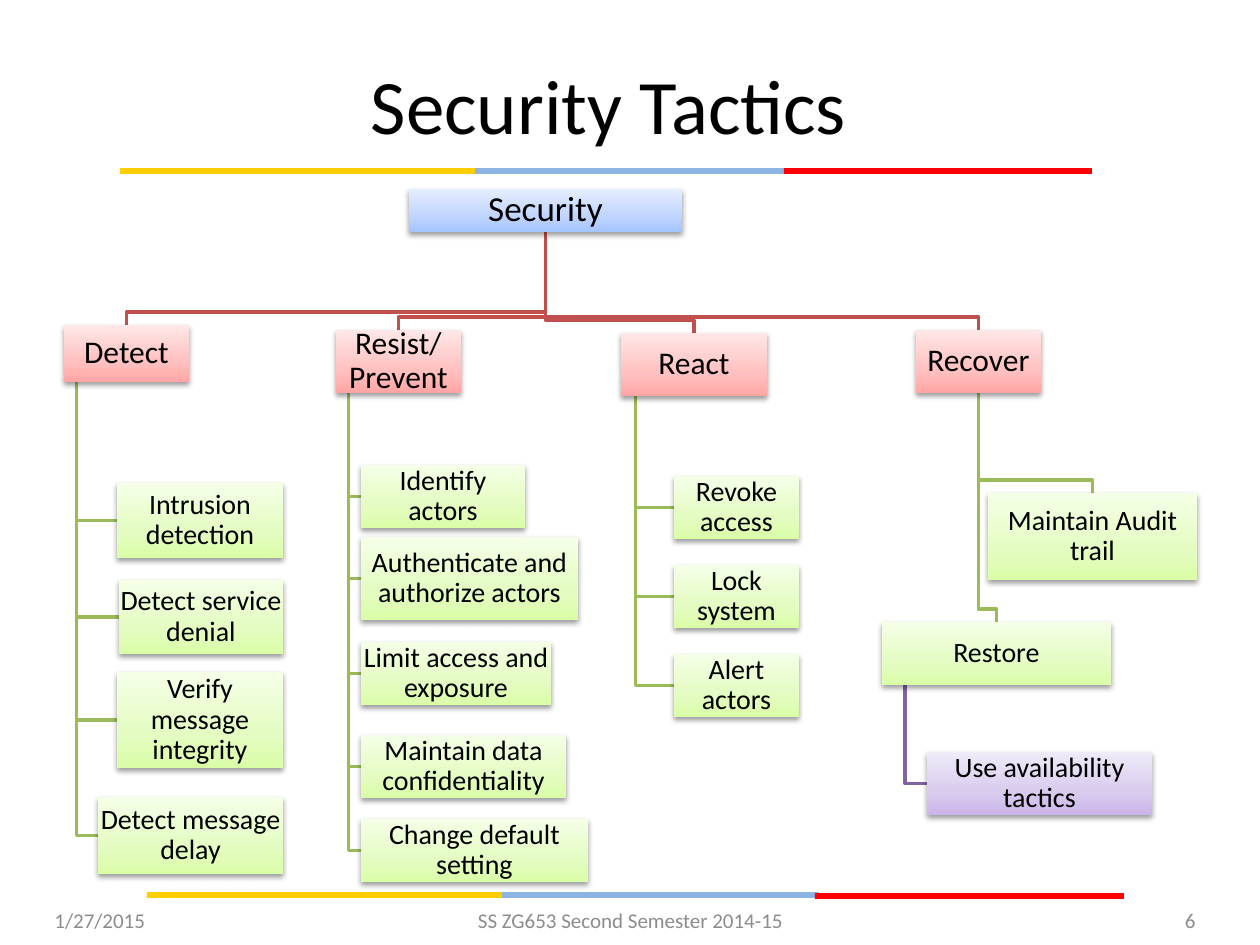
"""Build the Security Tactics tree slide."""
from lxml import etree
from pptx import Presentation
from pptx.dml.color import RGBColor
from pptx.enum.shapes import MSO_SHAPE
from pptx.enum.text import MSO_ANCHOR, PP_ALIGN
from pptx.oxml import parse_xml
from pptx.util import Pt

RECT = MSO_SHAPE.RECTANGLE
MIDDLE = MSO_ANCHOR.MIDDLE
LEFT, CENTER, RIGHT = PP_ALIGN.LEFT, PP_ALIGN.CENTER, PP_ALIGN.RIGHT
SCALE = 914400 / 126
NS = "http://schemas.openxmlformats.org/drawingml/2006/main"
COLORS = {"gold": "FFCE00", "sky": "8EB4E3", "red": "FF0000", "black": "000000",
          "gray": "8C8C8C", "rust": "C0504D", "olive": "9BBB59", "plum": "8064A2"}
KINDS = {
    "root": {"size": 20, "line": None, "stops": ("A4C4FF", "BFD4FF", "E6EEFF")},
    "branch": {"size": 18, "line": "rust", "stops": ("FFA6A5", "FFC0BF", "FFE7E7")},
    "leaf": {"size": 16, "line": "olive", "stops": ("DAFDA7", "E4FCC2", "F5FFE7")},
    "twig": {"size": 16, "line": "plum", "stops": ("C9B5E8", "D8CBEE", "F0EAF9")},
}


def px(*vals):
    return [round(v * SCALE) for v in vals]


def write(shape, text, size, color, align, **form):
    frame = shape.text_frame
    form = {"word_wrap": True, "vertical_anchor": MIDDLE, **form}
    for key, val in form.items():
        setattr(frame, key, val)
    para = frame.paragraphs[0]
    para.alignment = align
    run = para.add_run()
    run.text = text
    for key, val in {"name": "Calibri", "size": Pt(size)}.items():
        setattr(run.font, key, val)
    run.font.color.rgb = RGBColor.from_string(COLORS[color])
    return para


deck = Presentation()
deck.slide_width, deck.slide_height = px(1260, 945)
slide = deck.slides.add_slide(deck.slide_layouts[6])
shapes = slide.shapes

bars = [("sky", 470, 168, 321), ("red", 784, 168, 308), ("gold", 120, 168, 355),
        ("sky", 498, 892, 321), ("red", 815, 893, 309), ("gold", 147, 892, 355)]
for color, x, y, w in bars:
    bar = shapes.add_shape(RECT, *px(x, y, w, 6))
    bar.shadow.inherit = False
    bar.fill.solid()
    bar.fill.fore_color.rgb = RGBColor.from_string(COLORS[color])
    bar.line.fill.background()

labels = [("Security Tactics", 42, 39, 1134, 130, 44, "black", CENTER),
          ("1/27/2015", 42, 895, 294, 50, 12, "gray", LEFT),
          ("SS ZG653 Second Semester 2014-15", 431, 895, 399, 50, 12, "gray", CENTER),
          ("6", 914, 895, 294, 50, 12, "gray", RIGHT)]
for text, x, y, w, h, size, color, align in labels:
    write(shapes.add_textbox(*px(x, y, w, h)), text, size, color, align)

nodes = [
    ("Security", None, "root", 409, 189, 273, 43),
    ("Detect", "Security", "branch", 64, 325, 125, 57),
    ("Intrusion detection", "Detect", "leaf", 117, 483, 166, 75),
    ("Detect service denial", "Detect", "leaf", 119, 580, 164, 74),
    ("Verify message integrity", "Detect", "leaf", 117, 672, 166, 96),
    ("Detect message delay", "Detect", "leaf", 98, 797, 185, 77),
    ("Resist/ Prevent", "Security", "branch", 336, 330, 125, 63),
    ("Identify actors", "Resist/ Prevent", "leaf", 361, 465, 164, 63),
    ("Authenticate and authorize actors", "Resist/ Prevent", "leaf", 361, 537, 217, 83),
    ("Limit access and exposure", "Resist/ Prevent", "leaf", 361, 642, 190, 63),
    ("Maintain data confidentiality", "Resist/ Prevent", "leaf", 361, 735, 205, 63),
    ("Change default setting", "Resist/ Prevent", "leaf", 361, 819, 227, 63),
    ("React", "Security", "branch", 621, 333, 146, 63),
    ("Revoke access", "React", "leaf", 674, 476, 125, 63),
    ("Lock system", "React", "leaf", 674, 565, 125, 63),
    ("Alert actors", "React", "leaf", 674, 654, 125, 63),
    ("Recover", "Security", "branch", 916, 330, 125, 63),
    ("Maintain Audit trail", "Recover", "leaf", 988, 493, 209, 87),
    ("Restore", "Recover", "leaf", 882, 622, 229, 63),
    ("Use availability tactics", "Restore", "twig", 927, 752, 225, 63),
]
boxes = {text: box for text, _, _, *box in nodes}

for text, parent, kind, x, y, w, h in reversed(nodes):
    if parent is None:
        continue
    left, top, wide, high = boxes[parent]
    base = top + high
    if parent in ("Security", "Recover"):
        trunk, end, bend = left + wide / 2, x + w / 2, y - 13
        points = [(trunk, base), (trunk, bend), (end, bend), (end, y)]
    else:
        trunk, mid = left + wide / 10, y + h / 2
        points = [(trunk, base), (trunk, mid), (x, mid)]
    points = [px(*point) for point in points]
    path = shapes.build_freeform(*points[0], scale=1.0)
    path.add_line_segments(points[1:], close=False)
    link = path.convert_to_shape()
    link.shadow.inherit = False
    link.fill.background()
    link.line.width = Pt(2)
    link.line.color.rgb = RGBColor.from_string(COLORS[KINDS[kind]["line"]])

for text, parent, kind, *box in nodes:
    look = KINDS[kind]
    node = shapes.add_shape(RECT, *px(*box))
    node.shadow.inherit = False
    node.line.fill.background()
    stops = "".join(f'<a:gs pos="{pos}"><a:srgbClr val="{color}"/></a:gs>'
                    for pos, color in zip((0, 35000, 100000), look["stops"]))
    props = node.element.spPr
    props.insert(2, parse_xml(
        f'<a:gradFill xmlns:a="{NS}" rotWithShape="1"><a:gsLst>{stops}</a:gsLst>'
        '<a:lin ang="16200000" scaled="0"/></a:gradFill>'))
    shade = etree.SubElement(props.find(f"{{{NS}}}effectLst"), f"{{{NS}}}outerShdw",
                             blurRad="40000", dist="20000", dir="5400000", rotWithShape="0")
    tint = etree.SubElement(shade, f"{{{NS}}}srgbClr", val=COLORS["black"])
    etree.SubElement(tint, f"{{{NS}}}alpha", val="38000")
    inset = px(1)[0]
    para = write(node, text, look["size"], "black", CENTER, margin_left=inset,
                 margin_right=inset, margin_top=inset, margin_bottom=inset)
    para.line_spacing = 0.9

deck.save("out.pptx")
